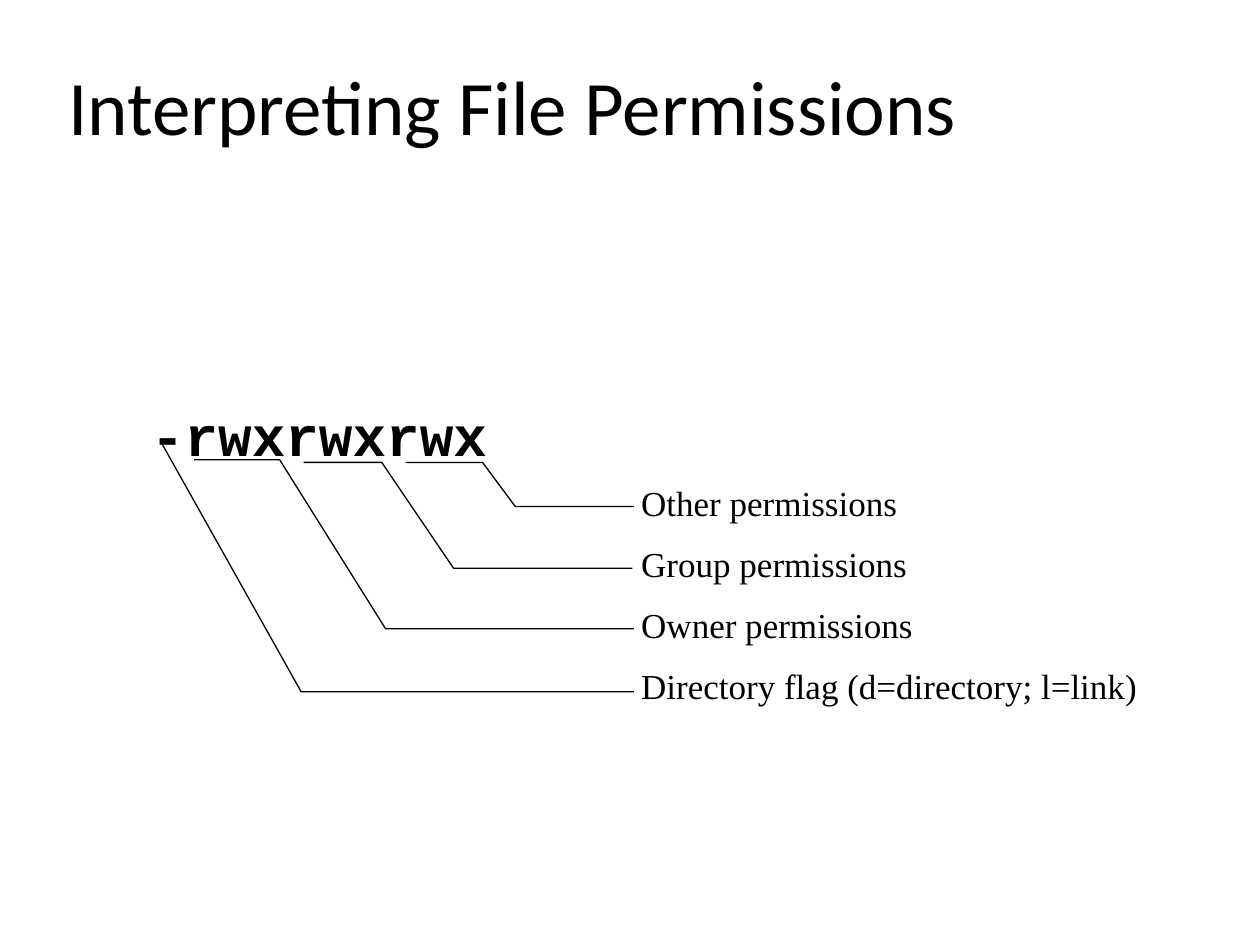
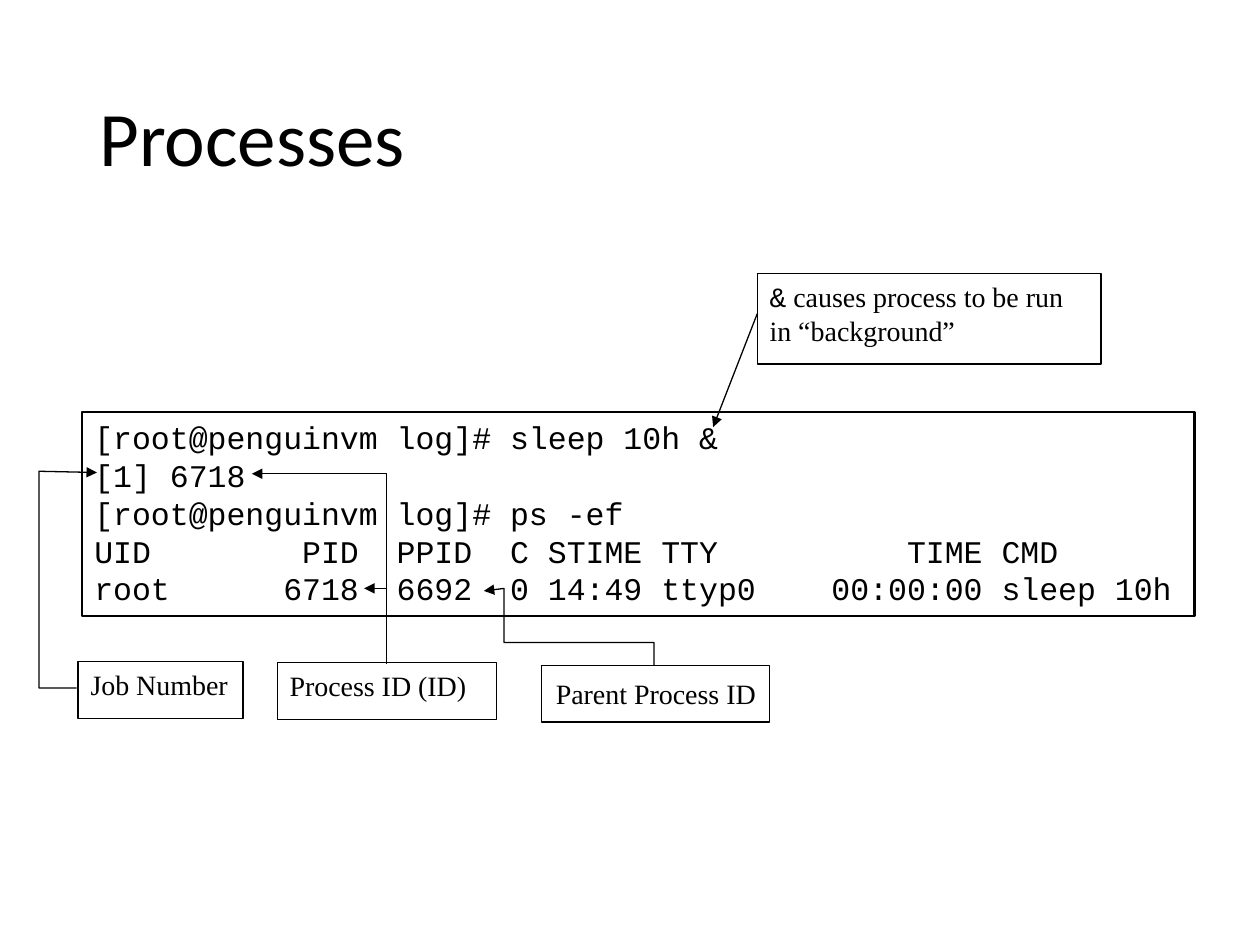
from dataclasses import dataclass

from lxml import etree
from pptx import Presentation
from pptx import util as u
from pptx.dml.color import RGBColor
from pptx.enum import shapes, text
from pptx.oxml import ns

PX = 9144


@dataclass(frozen=True)
class Theme:
    ink: RGBColor = RGBColor(0, 0, 0)
    title_font: str = "Calibri"
    code_font: str = "Courier New"
    note_font: str = "Times New Roman"
    title_size: int = 44
    mode_size: int = 32
    meaning_size: int = 20
    terminal_size: int = 18
    note_size: int = 16
    thin: float = 0.75
    thick: float = 1.5


class Deck:
    def __init__(self, theme):
        self.theme = theme
        self.prs = Presentation()
        self.prs.slide_width = 1000 * PX
        self.prs.slide_height = 750 * PX
        self.slide = None

    def new_slide(self, heading, *place):
        self.slide = self.prs.slides.add_slide(self.prs.slide_layouts[5])
        title = self.slide.shapes.title
        title.left, title.top, title.width, title.height = (n * PX for n in place)
        frame = title.text_frame
        frame.text = heading
        frame.vertical_anchor = text.MSO_ANCHOR.MIDDLE
        frame.paragraphs[0].line_spacing = 0.9
        self.style(frame, self.theme.title_font, self.theme.title_size)

    def style(self, frame, font, size, bold=False, align=text.PP_ALIGN.LEFT):
        for paragraph in frame.paragraphs:
            paragraph.alignment = align
            for run in paragraph.runs:
                run.font.name = font
                run.font.size = u.Pt(size)
                run.font.bold = bold
                run.font.color.rgb = self.theme.ink

    def label(self, words, place, font, size, bold=False, gap=0):
        box = self.slide.shapes.add_textbox(*(n * PX for n in place))
        frame = box.text_frame
        frame.word_wrap = True
        frame.text = words
        self.style(frame, font, size, bold)
        for paragraph in frame.paragraphs[1:]:
            paragraph.space_before = u.Pt(gap)

    def box(self, words, place, font, size, weight, centred=False):
        panel = self.slide.shapes.add_shape(
            shapes.MSO_SHAPE.RECTANGLE, *(n * PX for n in place))
        self.outline(panel, weight)
        frame = panel.text_frame
        frame.word_wrap = not centred
        frame.vertical_anchor = text.MSO_ANCHOR.MIDDLE if centred else text.MSO_ANCHOR.TOP
        frame.text = words
        align = text.PP_ALIGN.CENTER if centred else text.PP_ALIGN.LEFT
        self.style(frame, font, size, align=align)
        return frame

    def note(self, words, place, centred=False):
        return self.box(words, place, self.theme.note_font, self.theme.note_size,
                        self.theme.thin, centred)

    def terminal(self, words, place):
        size = self.theme.terminal_size
        frame = self.box(words, place, self.theme.code_font, size, self.theme.thick)
        for paragraph in frame.paragraphs:
            paragraph.line_spacing = u.Pt(size * 1.2)

    def outline(self, shape, weight):
        shape.shadow.inherit = False
        shape.fill.background()
        self.stroke(shape.line, weight)

    def stroke(self, line, weight):
        line.color.rgb = self.theme.ink
        line.width = u.Pt(weight)

    def arrowhead(self, line):
        etree.SubElement(line._get_or_add_ln(), ns.qn("a:tailEnd"), type="triangle")

    def leader(self, points, arrow=False):
        builder = self.slide.shapes.build_freeform(*points[0], scale=PX)
        builder.add_line_segments(points[1:], close=False)
        route = builder.convert_to_shape()
        self.outline(route, self.theme.thin)
        if arrow:
            self.arrowhead(route.line)

    def arrow(self, *ends):
        pointer = self.slide.shapes.add_connector(
            shapes.MSO_CONNECTOR.STRAIGHT, *(n * PX for n in ends))
        self.stroke(pointer.line, self.theme.thin)
        self.arrowhead(pointer.line)
        etree.SubElement(pointer._element.spPr, ns.qn("a:effectLst"))


def permissions(deck):
    theme = deck.theme
    deck.new_slide("Interpreting File Permissions", 44, 25, 926, 125)
    deck.label("-rwxrwxrwx", (110, 313, 334, 63), theme.code_font, theme.mode_size, bold=True)
    meanings = ("Other permissions", "Group permissions", "Owner permissions",
                "Directory flag (d=directory; l=link)")
    deck.label("\n".join(meanings), (499, 377, 448, 193), theme.note_font,
               theme.meaning_size, gap=11)
    for route in (
        [(503, 549), (239, 549), (129, 353)],
        [(503, 499), (306, 499), (222, 365), (154, 365)],
        [(502, 451), (360, 451), (303, 367), (241, 367)],
        [(503, 402), (409, 402), (383, 367), (322, 367)],
    ):
        deck.leader(route)


def processes(deck):
    deck.new_slide("Processes", 69, 40, 862, 145)
    session = (
        "[root@penguinvm log]# sleep 10h &",
        "[1] 6718",
        "[root@penguinvm log]# ps -ef",
        "UID        PID  PPID  C STIME TTY          TIME CMD",
        "root      6718  6692  0 14:49 ttyp0    00:00:00 sleep 10h",
    )
    deck.terminal("\n".join(session), (65, 327, 883, 162))

    background = deck.note("", (601, 217, 273, 72)).paragraphs[0]
    for words, font in (("&", deck.theme.code_font),
                        (" causes process to be run in “background”", deck.theme.note_font)):
        run = background.add_run()
        run.text = words
        run.font.name = font
        run.font.size = u.Pt(deck.theme.note_size)
        run.font.color.rgb = deck.theme.ink
    deck.arrow(601, 249, 566, 339)

    deck.note("Job Number", (62, 525, 131, 45))
    deck.note("Process ID (ID)", (220, 526, 174, 45))
    deck.note("Parent Process ID", (430, 528, 181, 45), centred=True)
    for route in (
        [(61, 546), (31, 546), (31, 374), (77, 375)],
        [(307, 527), (307, 376), (200, 376)],
        [(519, 528), (519, 510), (400, 510), (400, 467), (384, 469)],
    ):
        deck.leader(route, arrow=True)
    deck.arrow(307, 467, 289, 467)


def main():
    deck = Deck(Theme())
    permissions(deck)
    processes(deck)
    deck.prs.save("out.pptx")


if __name__ == "__main__":
    main()
